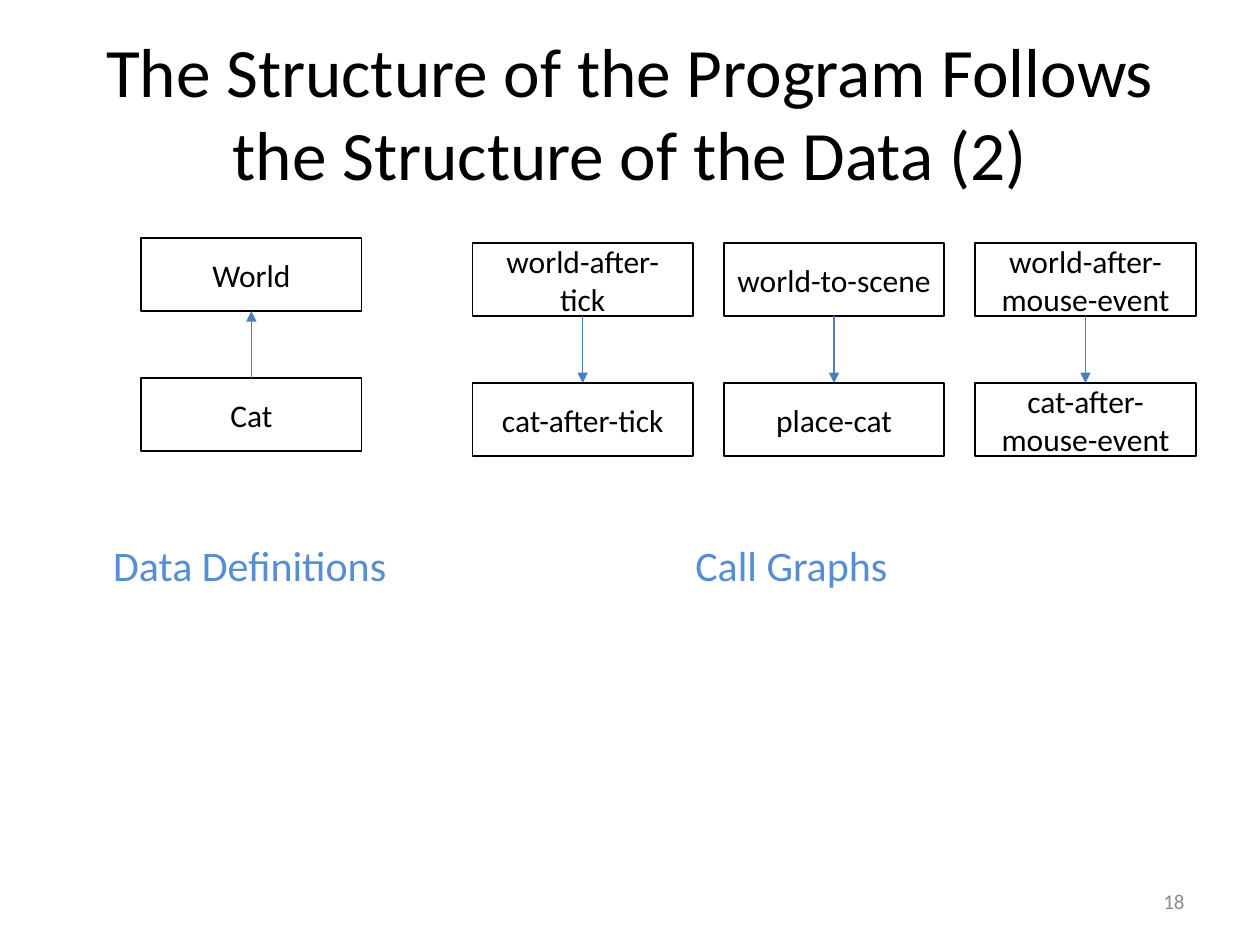
from lxml import etree
from pptx import Presentation
from pptx.dml.color import RGBColor
from pptx.enum.shapes import MSO_CONNECTOR, MSO_SHAPE
from pptx.enum.text import MSO_ANCHOR, MSO_AUTO_SIZE, PP_ALIGN
from pptx.oxml.ns import qn
from pptx.util import Inches, Pt

RECTANGLE = MSO_SHAPE.RECTANGLE
STRAIGHT = MSO_CONNECTOR.STRAIGHT
MIDDLE = MSO_ANCHOR.MIDDLE
NO_AUTOFIT = MSO_AUTO_SIZE.NONE
LEFT, CENTER, RIGHT = PP_ALIGN.LEFT, PP_ALIGN.CENTER, PP_ALIGN.RIGHT
TOP_SIDE, BOTTOM_SIDE = 0, 2

COLORS = {"text": "000000", "arrow": "4B7EBC", "label": "558ED5", "number": "8C8C8C"}
FONT = "Calibri"

TITLE = "The Structure of the Program Follows the Structure of the Data (2)"
SLIDE_NUMBER = "18"
DATA_DEFINITION = ("World", "Cat")
CALL_GRAPHS = [
    ("world-after-tick", "cat-after-tick"),
    ("world-to-scene", "place-cat"),
    ("world-after-mouse-event", "cat-after-mouse-event"),
]
LABELS = [("Data Definitions", 0.8, 2.39), ("Call Graphs", 5.42, 1.74)]

BOX_WIDTH, BOX_HEIGHT = 1.75, 0.58
ROW_STEP = 1.11
DATA_LEFT, DATA_TOP = 1.12, 1.89
CALL_LEFT, CALL_TOP, CALL_STEP = 3.75, 1.93, 1.995
LABEL_TOP, LABEL_HEIGHT = 4.23, 0.5


def color(name):
    return RGBColor.from_string(COLORS[name])


def write(frame, text, size, color_name, alignment):
    frame.text = text
    para = frame.paragraphs[0]
    para.alignment = alignment
    para.font.name = FONT
    para.font.size = Pt(size)
    para.font.color.rgb = color(color_name)


def add_box(shapes, text, left, top):
    box = shapes.add_shape(
        RECTANGLE, Inches(left), Inches(top), Inches(BOX_WIDTH), Inches(BOX_HEIGHT)
    )
    box.shadow.inherit = False
    box.fill.background()
    box.line.color.rgb = color("text")
    box.line.width = Pt(1)
    box.text_frame.word_wrap = True
    box.text_frame.vertical_anchor = MIDDLE
    write(box.text_frame, text, 18, "text", CENTER)
    return box


def add_arrow(shapes, start, start_side, end, end_side):
    arrow = shapes.add_connector(STRAIGHT, 0, 0, 0, 0)
    arrow.begin_connect(start, start_side)
    arrow.end_connect(end, end_side)
    arrow.line.color.rgb = color("arrow")
    arrow.line.width = Pt(0.75)
    line = arrow.line._get_or_add_ln()
    etree.SubElement(line, qn("a:tailEnd"), type="triangle")
    etree.SubElement(arrow._element.spPr, qn("a:effectLst"))


def add_pair(shapes, names, left, top, upward=False):
    upper, lower = [
        add_box(shapes, name, left, top + row * ROW_STEP)
        for row, name in enumerate(names)
    ]
    if upward:
        add_arrow(shapes, lower, TOP_SIDE, upper, BOTTOM_SIDE)
    else:
        add_arrow(shapes, upper, BOTTOM_SIDE, lower, TOP_SIDE)


def add_text(shapes, text, place, size, color_name, alignment):
    box = shapes.add_textbox(*map(Inches, place))
    write(box.text_frame, text, size, color_name, alignment)
    return box


def main():
    deck = Presentation()
    deck.slide_width, deck.slide_height = Inches(10), Inches(7.5)
    slide = deck.slides.add_slide(deck.slide_layouts[5])
    shapes = slide.shapes

    title = shapes.title
    title.left, title.top = Inches(0.5), Inches(0.26)
    title.width, title.height = Inches(9), Inches(1.25)
    write(title.text_frame, TITLE, 39.6, "text", CENTER)
    title.text_frame.vertical_anchor = MIDDLE
    title.text_frame.auto_size = NO_AUTOFIT

    number = add_text(shapes, SLIDE_NUMBER, (7.17, 6.95, 2.33, 0.4), 12, "number", RIGHT)
    number.text_frame.word_wrap = True
    number.text_frame.vertical_anchor = MIDDLE

    add_pair(shapes, DATA_DEFINITION, DATA_LEFT, DATA_TOP, upward=True)
    for column, names in enumerate(CALL_GRAPHS):
        group = shapes.add_group_shape()
        add_pair(group.shapes, names, CALL_LEFT + column * CALL_STEP, CALL_TOP)

    for text, left, width in LABELS:
        place = (left, LABEL_TOP, width, LABEL_HEIGHT)
        add_text(shapes, text, place, 24, "label", LEFT)

    deck.save("out.pptx")


if __name__ == "__main__":
    main()
